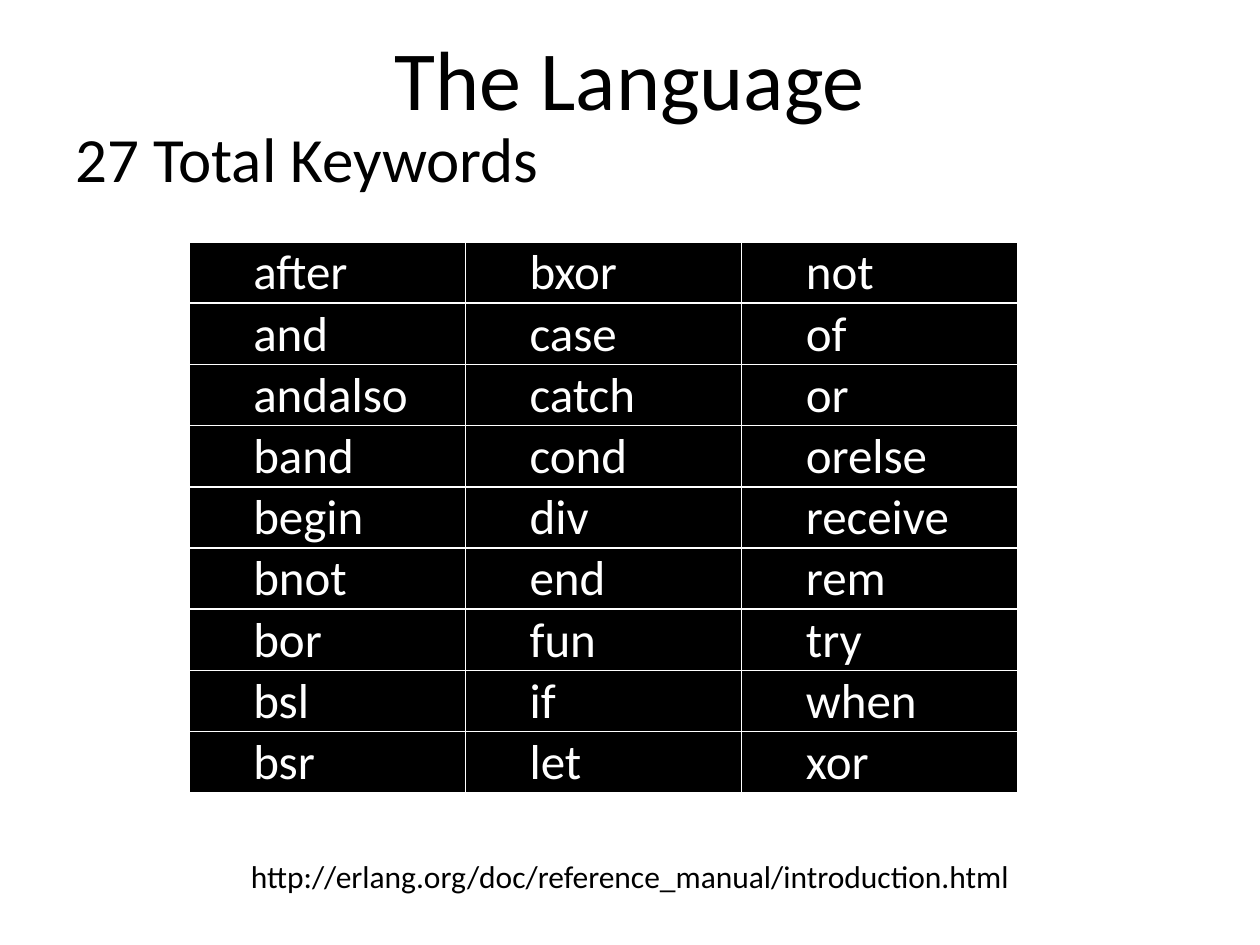
from pptx import Presentation
from pptx.dml.color import RGBColor
from pptx.enum import text
from pptx.oxml import parse_xml
from pptx.oxml.ns import nsdecls
from pptx.util import Pt

# Content
TITLE = "The Language"
SUBTITLE = "27 Total Keywords"
SOURCE = "http://erlang.org/doc/reference_manual/introduction.html"
KEYWORD_COLUMNS = [
    ["after", "and", "andalso", "band", "begin", "bnot", "bor", "bsl", "bsr"],
    ["bxor", "case", "catch", "cond", "div", "end", "fun", "if", "let"],
    ["not", "of", "or", "orelse", "receive", "rem", "try", "when", "xor"],
]

# Look
FONT = "Calibri"
BLACK, WHITE = "000000", "FFFFFF"
COLUMN_WIDTH, ROW_HEIGHT = 157.9, 33.84
CELL_INSET = 0.75


def color(value):
    return RGBColor.from_string(value)


def add_span(para, words, size, ink):
    span = para.add_run()
    span.text = words
    span.font.name = FONT
    span.font.size = Pt(size)
    span.font.color.rgb = color(ink)


def write(box, words, size, align, anchor):
    frame = box.text_frame
    frame.word_wrap = True
    frame.auto_size = text.MSO_AUTO_SIZE.NONE
    frame.vertical_anchor = anchor
    para = frame.paragraphs[0]
    para.alignment = align
    add_span(para, words, size, BLACK)


def add_borders(cell):
    properties = cell._tc.get_or_add_tcPr()
    for position, side in enumerate(("lnL", "lnR", "lnT", "lnB")):
        properties.insert(position, parse_xml(
            f'<a:{side} {nsdecls("a")} w="{Pt(1)}"><a:solidFill>'
            f'<a:srgbClr val="{WHITE}"/></a:solidFill></a:{side}>'))


def fill_cell(cell, keyword):
    cell.fill.solid()
    cell.fill.fore_color.rgb = color(BLACK)
    cell.margin_left = cell.margin_right = cell.margin_top = Pt(CELL_INSET)
    cell.margin_bottom = Pt(0)
    cell.vertical_anchor = text.MSO_ANCHOR.BOTTOM
    para = cell.text_frame.paragraphs[0]
    para.level = 1
    indent = para._p.get_or_add_pPr()
    indent.set("marL", str(Pt(36)))
    indent.set("indent", "0")
    add_span(para, keyword, 28, WHITE)
    add_borders(cell)


deck = Presentation()
deck.slide_width, deck.slide_height = Pt(720), Pt(540)
page = deck.slides.add_slide(deck.slide_layouts[5])

# Title
title = page.shapes.title
title.left, title.top, title.width, title.height = Pt(36), Pt(21.6), Pt(648), Pt(44.64)
write(title, TITLE, 48, text.PP_ALIGN.CENTER, text.MSO_ANCHOR.MIDDLE)

# Subtitle
subtitle = page.shapes.add_textbox(Pt(36), Pt(72), Pt(648), Pt(36))
write(subtitle, SUBTITLE, 36, text.PP_ALIGN.LEFT, text.MSO_ANCHOR.MIDDLE)

# Keyword table
column_count, row_count = len(KEYWORD_COLUMNS), len(KEYWORD_COLUMNS[0])
table = page.shapes.add_table(
    row_count, column_count, Pt(108), Pt(138.24),
    Pt(COLUMN_WIDTH * column_count), Pt(ROW_HEIGHT * row_count)).table
table.first_row = table.horz_banding = False
for column in table.columns:
    column.width = Pt(COLUMN_WIDTH)
for row in table.rows:
    row.height = Pt(ROW_HEIGHT)
for column_index, keywords in enumerate(KEYWORD_COLUMNS):
    for row_index, keyword in enumerate(keywords):
        fill_cell(table.cell(row_index, column_index), keyword)

# Source address
source = page.shapes.add_textbox(Pt(74.88), Pt(486), Pt(570.24), Pt(28.8))
write(source, SOURCE, 18, text.PP_ALIGN.CENTER, text.MSO_ANCHOR.TOP)

deck.save("out.pptx")
